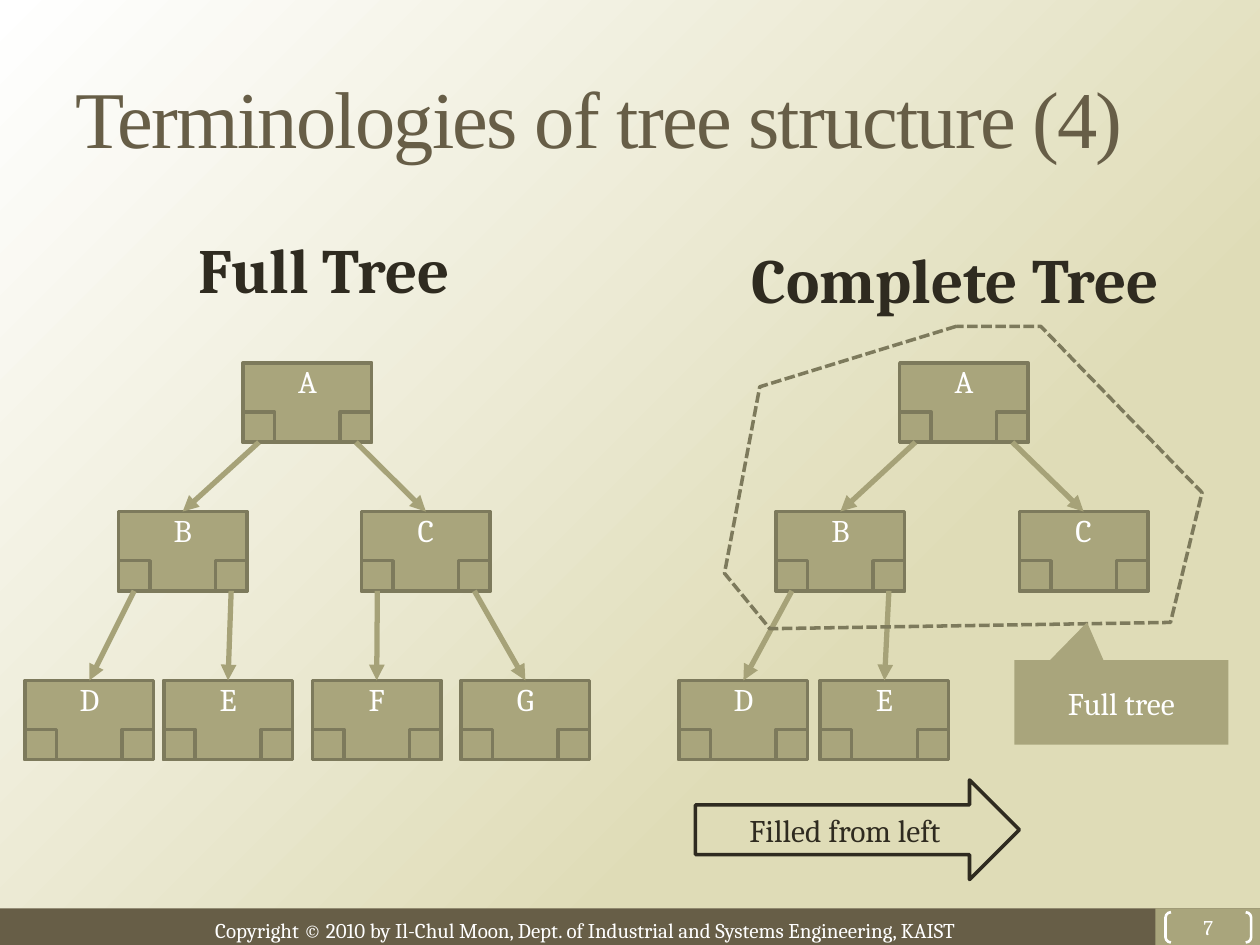
from lxml import etree
from pptx import Presentation
from pptx import util as u
from pptx.dml.color import RGBColor
from pptx.enum import dml, shapes, text
from pptx.oxml.ns import qn

WIDTH, HEIGHT = 10, 7.5
COLORS = {
    "brown": "675E47", "olive": "A9A57C", "edge": "7D7A5C", "arrow": "A6A278",
    "sand": "DFDCB7", "white": "FFFFFF", "dark": "2F2B20",
}
TITLE = "Terminologies of tree structure (4)"
COPYRIGHT = "Copyright © 2010 by Il-Chul Moon, Dept. of Industrial and Systems Engineering, KAIST"
PAGE_NUMBER = "7"

NODE_WIDTH, NODE_HEIGHT = 1.02, 0.63
SLOT_WIDTH, SLOT_HEIGHT = 0.25, 0.24
LEVEL_TOPS = (2.88, 4.06, 5.4)

# Each level lists (label, left edge); nodes stand in heap order.
TREES = [
    {"heading": "Full Tree", "heading_box": (1.48, 1.78, 2.26, 0.71),
     "levels": [[("A", 1.93)], [("B", 0.94), ("C", 2.87)],
                [("D", 0.2), ("E", 1.3), ("F", 2.48), ("G", 3.66)]]},
    {"heading": "Complete Tree", "heading_box": (5.87, 1.86, 3.57, 0.71),
     "levels": [[("A", 7.14)], [("B", 6.16), ("C", 8.09)],
                [("D", 5.39), ("E", 6.51)]]},
]
FULL_PART_OUTLINE = [(7.59, 2.59), (6.03, 3.07), (5.75, 4.55), (6.11, 4.99),
                     (9.29, 4.94), (9.54, 3.91), (8.26, 2.59)]


def rgb(name):
    return RGBColor.from_string(COLORS[name])


def inches(box):
    return [u.Inches(value) for value in box]


def paint(shape, fill=None, line=None, weight=2):
    shape.shadow.inherit = False
    if fill:
        shape.fill.solid()
        shape.fill.fore_color.rgb = rgb(fill)
    else:
        shape.fill.background()
    if line:
        shape.line.color.rgb = rgb(line)
        shape.line.width = u.Pt(weight)
    else:
        shape.line.fill.background()


def write(shape, words, size=18, color="white", font="Cambria", bold=False,
          align=text.PP_ALIGN.CENTER, **frame_format):
    """Put one line of text in a shape; frame_format sets text frame values."""
    frame = shape.text_frame
    settings = {"word_wrap": True, "vertical_anchor": text.MSO_ANCHOR.MIDDLE, **frame_format}
    for name, value in settings.items():
        setattr(frame, name, value)
    paragraph = frame.paragraphs[0]
    paragraph.alignment = align
    run = paragraph.add_run()
    run.text = words
    for name, value in {"size": u.Pt(size), "name": font, "bold": bold}.items():
        setattr(run.font, name, value)
    run.font.color.rgb = rgb(color)
    return run


def add_preset(parent, kind, box, **look):
    shape = parent.shapes.add_shape(kind, *inches(box))
    paint(shape, **look)
    return shape


def add_label(slide, words, box, **look):
    label = slide.shapes.add_textbox(*inches(box))
    write(label, words, align=text.PP_ALIGN.LEFT, word_wrap=False,
          vertical_anchor=text.MSO_ANCHOR.TOP, **look)


def add_node(slide, label, left, top):
    """Draw a labelled box with two link slots; return the box and the slots."""
    group = slide.shapes.add_group_shape()
    rectangle = shapes.MSO_SHAPE.RECTANGLE
    look = {"fill": "olive", "line": "edge"}
    box = add_preset(group, rectangle, (left, top, NODE_WIDTH, NODE_HEIGHT), **look)
    write(box, label, margin_top=0, margin_bottom=u.Inches(0.34))
    slots = [
        add_preset(group, rectangle,
                   (x, top + NODE_HEIGHT - SLOT_HEIGHT, SLOT_WIDTH, SLOT_HEIGHT), **look)
        for x in (left, left + NODE_WIDTH - SLOT_WIDTH)
    ]
    return box, slots


def add_link(slide, slot, child):
    """Draw an arrow from the bottom of a slot to the top of a child box."""
    link = slide.shapes.add_connector(shapes.MSO_CONNECTOR.STRAIGHT, 0, 0, 0, 0)
    link.begin_connect(slot, 2)
    link.end_connect(child, 0)
    link.line.color.rgb = rgb("arrow")
    link.line.width = u.Pt(3)
    etree.SubElement(link.line._get_or_add_ln(), qn("a:tailEnd"), type="triangle")
    etree.SubElement(link._element.spPr, qn("a:effectLst"))


def add_tree(slide, tree):
    add_label(slide, tree["heading"], tree["heading_box"], size=36, color="dark", bold=True)
    nodes = [add_node(slide, label, left, top)
             for level, top in zip(tree["levels"], LEVEL_TOPS)
             for label, left in level]
    for index, (box, _) in enumerate(nodes[1:]):
        parent_slots = nodes[index // 2][1]
        add_link(slide, parent_slots[index % 2], box)


def add_background(slide):
    fill = slide.background.fill
    fill.gradient()
    fill.gradient_angle = 135
    for stop, (position, color) in zip(fill.gradient_stops, [(0.31, "sand"), (1, "white")]):
        stop.position = position
        stop.color.rgb = rgb(color)


def add_footer(slide):
    top, number_left = 7.21, 9.17
    for left, color in ((0, "brown"), (number_left, "olive")):
        add_preset(slide, shapes.MSO_SHAPE.RECTANGLE,
                   (left, top, WIDTH - left, HEIGHT - top), fill=color)
    add_label(slide, COPYRIGHT, (1.61, 7.23, 6.41, 0.3), size=12)
    brackets = add_preset(slide, shapes.MSO_SHAPE.DOUBLE_BRACKET, (9.25, 7.24, 0.68, 0.24),
                          line="white", weight=1.5)
    brackets.adjustments[0] = 0.18
    write(brackets, PAGE_NUMBER, size=12, margin_left=0, margin_right=0,
          margin_top=0, margin_bottom=0)


def add_title(slide):
    title = slide.shapes.title
    title.left, title.top, title.width, title.height = inches((0.5, 0.3, 9.22, 1.24))
    run = write(title, TITLE, size=46, color="brown", font="Times New Roman",
                align=text.PP_ALIGN.LEFT, auto_size=text.MSO_AUTO_SIZE.NONE)
    run.font._element.set("spc", "-100")


def add_annotations(slide):
    start, *rest = [tuple(inches(point)) for point in FULL_PART_OUTLINE]
    builder = slide.shapes.build_freeform(*start)
    builder.add_line_segments(rest, close=True)
    outline = builder.convert_to_shape()
    paint(outline, line="edge")
    outline.line.dash_style = dml.MSO_LINE.SQUARE_DOT

    arrow = add_preset(slide, shapes.MSO_SHAPE.RIGHT_ARROW, (5.52, 6.19, 2.57, 0.79), line="dark")
    write(arrow, "Filled from left", color="dark")

    callout = add_preset(slide, shapes.MSO_SHAPE.RECTANGULAR_CALLOUT, (8.05, 5.24, 1.7, 0.67),
                         fill="olive")
    callout.adjustments[0], callout.adjustments[1] = -0.16, -0.95
    write(callout, "Full tree")


def main():
    presentation = Presentation()
    presentation.slide_width, presentation.slide_height = inches((WIDTH, HEIGHT))
    slide = presentation.slides.add_slide(presentation.slide_layouts[5])
    add_background(slide)
    add_footer(slide)
    add_title(slide)
    for tree in TREES:
        add_tree(slide, tree)
    add_annotations(slide)
    presentation.save("out.pptx")


if __name__ == "__main__":
    main()
